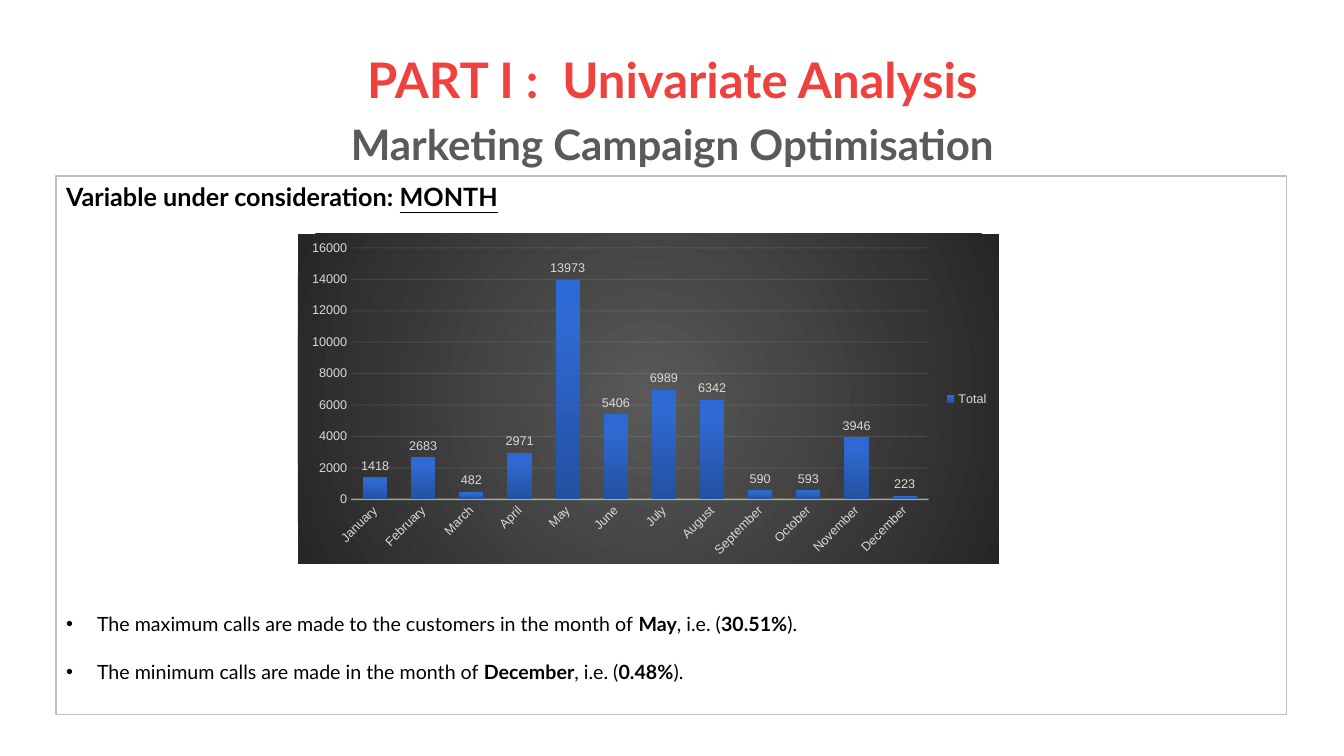
from dataclasses import dataclass

from lxml import etree
from pptx import Presentation
from pptx import util as u
from pptx.chart import data as chart_data
from pptx.dml.color import RGBColor
from pptx.enum import chart as chart_enum
from pptx.enum import text
from pptx.oxml import parse_xml
from pptx.oxml.ns import nsdecls, qn

SCALE = 914400 / 100.8


@dataclass(frozen=True)
class Theme:
    """Colours, fonts and type sizes of the slide."""
    red: str = "EF413D"
    grey: str = "5A5A5A"
    black: str = "000000"
    border: str = "BFBFBF"
    chart_text: str = "D9D9D9"
    chart_line: str = "F2F2F2"
    backdrop: tuple = ((0, "595959"), (100, "262626"))
    bars: tuple = ((0, "2451A1"), (80, "2F69D1"), (100, "2C69D5"))
    font: str = "Lato"
    chart_font: str = "Arial"
    title: int = 35
    gap: int = 10
    subtitle: int = 30
    heading: int = 18
    body: int = 14
    chart: int = 10
    label: int = 9


THEME = Theme()

CALLS = {
    "January": 1418, "February": 2683, "March": 482, "April": 2971,
    "May": 13973, "June": 5406, "July": 6989, "August": 6342,
    "September": 590, "October": 593, "November": 3946, "December": 223,
}

FINDINGS = [
    ("The maximum calls are made to the customers in the month of ", "May", "30.51%"),
    ("The minimum calls are made in the month of ", "December", "0.48%"),
]


def px(length):
    """Turn whole pixels into EMU."""
    return u.Emu(round(length * SCALE))


def place(shape, box):
    """Move a shape to a box of left, top, width and height."""
    shape.left, shape.top, shape.width, shape.height = map(px, box)


def style_font(font, size, color, name):
    """Set the size, colour and family of a font."""
    font.size = u.Pt(size)
    font.color.rgb = RGBColor.from_string(color)
    font.name = name


def add_run(paragraph, words, size, color=THEME.black, bold=False, underline=False):
    """Append one formatted run to a paragraph."""
    run = paragraph.add_run()
    run.text = words
    style_font(run.font, size, color, THEME.font)
    run.font.bold = bold
    run.font.underline = underline


def set_bullet(paragraph, indent, mark=None):
    """Set the hanging indent and the bullet of a paragraph."""
    properties = paragraph._p.get_or_add_pPr()
    properties.set("marL", str(px(indent)))
    properties.set("indent", str(-px(indent)))
    if mark:
        color = etree.SubElement(properties, qn("a:buClr"))
        etree.SubElement(color, qn("a:srgbClr"), val=THEME.black)
        etree.SubElement(properties, qn("a:buFont"), typeface="Arial")
        etree.SubElement(properties, qn("a:buChar"), char=mark)
    else:
        etree.SubElement(properties, qn("a:buNone"))


def gradient(stops, direction):
    """Build a gradient fill from percentage stops and a direction element."""
    marks = "".join(
        f'<a:gs pos="{position * 1000}"><a:srgbClr val="{color}"/></a:gs>'
        for position, color in stops
    )
    return parse_xml(
        f'<a:gradFill {nsdecls("a")}><a:gsLst>{marks}</a:gsLst>{direction}</a:gradFill>'
    )


def fill_title(shape, box):
    """Write the two title lines into the title placeholder."""
    place(shape, box)
    frame = shape.text_frame
    frame.auto_size = text.MSO_AUTO_SIZE.NONE
    frame.vertical_anchor = text.MSO_ANCHOR.MIDDLE
    paragraph = frame.paragraphs[0]
    paragraph.alignment = text.PP_ALIGN.CENTER
    paragraph.line_spacing = 0.9
    add_run(paragraph, "PART I :  Univariate Analysis", THEME.title, THEME.red, True)
    paragraph.add_line_break()
    add_run(paragraph, " ", THEME.gap, THEME.red, True)
    paragraph.add_line_break()
    add_run(paragraph, "Marketing Campaign Optimisation", THEME.subtitle, THEME.grey, True)


def fill_panel(shape, box):
    """Write the heading and the findings into the bordered body placeholder."""
    place(shape, box)
    shape.line.color.rgb = RGBColor.from_string(THEME.border)
    shape.line.width = u.Pt(0.75)
    frame = shape.text_frame
    frame.auto_size = text.MSO_AUTO_SIZE.NONE
    frame.vertical_anchor = text.MSO_ANCHOR.TOP
    heading = frame.paragraphs[0]
    heading.space_before = u.Pt(0)
    set_bullet(heading, 0)
    add_run(heading, "Variable under consideration: ", THEME.heading, bold=True)
    add_run(heading, "MONTH", THEME.heading, bold=True, underline=True)
    for (lead, month, share), gap in zip(FINDINGS, (401, 24)):
        paragraph = frame.add_paragraph()
        paragraph.space_before = px(gap)
        set_bullet(paragraph, 31, "•")
        pieces = (lead, month, ", i.e. (", share, ").")
        for index, words in enumerate(pieces):
            add_run(paragraph, words, THEME.body, bold=index % 2 == 1)


def add_calls_chart(slide, box):
    """Draw the calls per month as columns on a dark radial backdrop."""
    calls = chart_data.CategoryChartData()
    calls.categories = list(CALLS)
    calls.add_series("Total", list(CALLS.values()))
    chart = slide.shapes.add_chart(
        chart_enum.XL_CHART_TYPE.COLUMN_CLUSTERED, *map(px, box), calls
    ).chart
    style_font(chart.font, THEME.chart, THEME.black, THEME.chart_font)
    chart.has_title = False
    chart.has_legend = True
    chart.legend.position = chart_enum.XL_LEGEND_POSITION.RIGHT
    chart.legend.include_in_layout = False

    plot = chart.plots[0]
    plot.gap_width = 100
    plot.overlap = -24
    plot.vary_by_categories = False
    series = plot.series[0]
    series.invert_if_negative = False
    labels = series.data_labels
    labels.show_value = True
    labels.position = chart_enum.XL_LABEL_POSITION.OUTSIDE_END

    months, counts = chart.category_axis, chart.value_axis
    for axis in (months, counts):
        axis.major_tick_mark = axis.minor_tick_mark = chart_enum.XL_TICK_MARK.NONE
    for part in (chart.legend, labels, months.tick_labels, counts.tick_labels):
        style_font(part.font, THEME.label, THEME.chart_text, THEME.chart_font)
    counts.minimum_scale, counts.maximum_scale, counts.major_unit = 0, 16000, 2000
    counts.format.line.fill.background()

    root = chart.element
    root.xpath(".//c:catAx/c:txPr/a:bodyPr")[0].set("rot", "-2700000")
    for line, width, opacity, route in (
        (months.format.line, 1, 54, "c:catAx/c:spPr"),
        (counts.major_gridlines.format.line, 0.75, 10, "c:majorGridlines/c:spPr"),
    ):
        line.color.rgb = RGBColor.from_string(THEME.chart_line)
        line.width = u.Pt(width)
        color = root.xpath(f".//{route}//a:srgbClr")[0]
        etree.SubElement(color, qn("a:alpha"), val=str(opacity * 1000))

    series.format.fill.solid()
    solid = root.xpath(".//c:ser/c:spPr/a:solidFill")[0]
    solid.getparent().replace(solid, gradient(THEME.bars, '<a:lin ang="16200000" scaled="0"/>'))
    backdrop = parse_xml(f'<c:spPr {nsdecls("c", "a")}><a:ln><a:noFill/></a:ln></c:spPr>')
    center = '<a:path path="circle"><a:fillToRect l="50000" t="50000" r="50000" b="50000"/></a:path>'
    backdrop.insert(0, gradient(THEME.backdrop, center))
    root.find(qn("c:chart")).addnext(backdrop)


def main():
    """Build the slide and save it."""
    presentation = Presentation()
    presentation.slide_width, presentation.slide_height = px(1344), px(756)
    slide = presentation.slides.add_slide(presentation.slide_layouts[1])
    fill_title(slide.shapes.title, (93, 40, 1159, 146))
    fill_panel(slide.placeholders[1], (56, 176, 1231, 539))
    add_calls_chart(slide, (298, 234, 701, 330))
    presentation.save("out.pptx")


if __name__ == "__main__":
    main()
